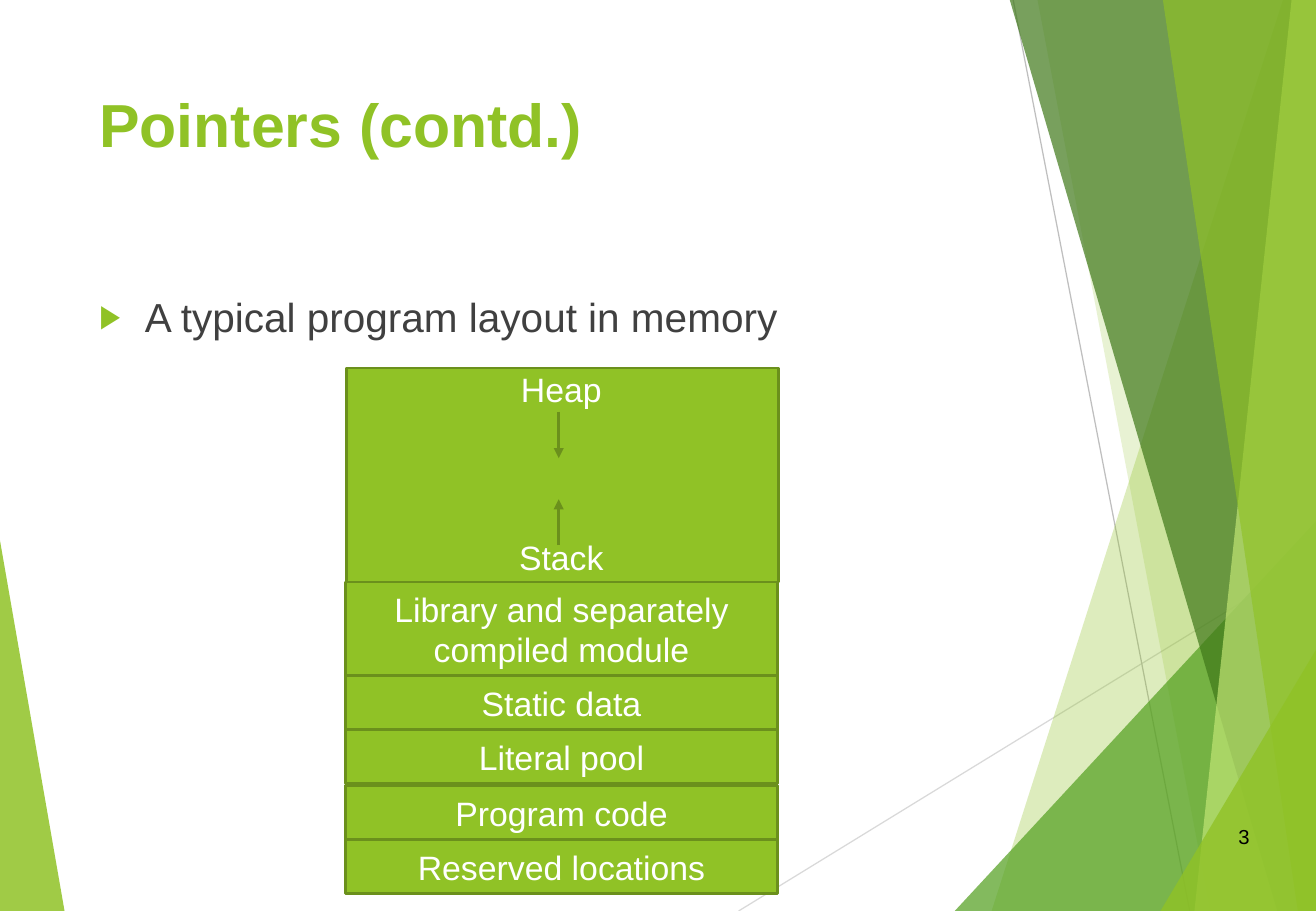
"""Build a slide on the layout of a program in memory."""
from typing import NamedTuple

from lxml.etree import SubElement as Sub
from pptx import Presentation
from pptx.dml.color import RGBColor
from pptx.enum.shapes import MSO_CONNECTOR as Link, MSO_SHAPE as Form
from pptx.enum.text import MSO_ANCHOR as Anchor, PP_ALIGN as Align
from pptx.oxml.ns import qn
from pptx.shapes.autoshape import Shape
from pptx.shapes.connector import Connector
from pptx.shapes.shapetree import SlideShapes as Shapes
from pptx.util import Cm, Pt

LIME = RGBColor(0x90, 0xC2, 0x26)
LEAF = RGBColor(0x54, 0xA0, 0x21)
PINE = RGBColor(0x3F, 0x78, 0x19)
PALE = RGBColor(0xC0, 0xE4, 0x74)
MOSS = RGBColor(0x6B, 0x90, 0x1C)
ASH = RGBColor(0xD9, 0xD9, 0xD9)
GREY = RGBColor(0xBF, 0xBF, 0xBF)
DARK = RGBColor(0x40, 0x40, 0x40)
BLACK = RGBColor(0, 0, 0)
WHITE = RGBColor(255, 255, 255)

WIDE, HIGH = 27.51, 19.05


class Facet(NamedTuple):
    """A clear pane of the backdrop."""
    color: RGBColor
    alpha: int
    points: list[tuple[float, float]]


class Stroke(NamedTuple):
    """A straight line, with or without an arrowhead."""
    start: tuple[float, float]
    end: tuple[float, float]
    color: RGBColor
    width: float
    arrow: bool = False


class Block(NamedTuple):
    """A box of the memory stack."""
    text: str
    left: float
    top: float
    height: float


class Label(NamedTuple):
    """A plain text box."""
    text: str
    left: float
    top: float
    width: float
    height: float
    size: int
    color: RGBColor
    align: Align = Align.LEFT
    anchor: Anchor = Anchor.TOP
    bold: bool = False
    before: int = 0


def pane(top: float, base: float) -> list[tuple[float, float]]:
    """Return the outline from a slanted edge to the right side."""
    return [(top, 0), (base, HIGH), (WIDE, HIGH), (WIDE, 0)]


def wedge(base: float, peak: float) -> list[tuple[float, float]]:
    """Return the triangle in the lower right corner."""
    return [(base, HIGH), (WIDE, peak), (WIDE, HIGH)]


FACETS = [
    Facet(LIME, 85, [(0, 11.3), (1.35, HIGH), (0, HIGH)]),
    Facet(LIME, 30, pane(26.82, 20.73)),
    Facet(LIME, 20, pane(21.69, 25.3)),
    Facet(LEAF, 72, wedge(19.96, 10.9)),
    Facet(PINE, 70, pane(21.11, 26.7)),
    Facet(PALE, 70, pane(27, 24.97)),
    Facet(LIME, 65, pane(24.31, 27.13)),
    Facet(LIME, 80, wedge(24.26, 13.59)),
]
RAYS = [
    Stroke((15.44, HIGH), (WIDE, 11.64), ASH, 0.75),
    Stroke((21.18, 0), (24.87, HIGH), GREY, 0.75),
]
BLOCKS = [
    Block("Reserved locations", 7.22, 17.56, 1.13),
    Block("Program code", 7.22, 16.43, 1.13),
    Block("Literal pool", 7.22, 15.26, 1.13),
    Block("Static data", 7.22, 14.13, 1.13),
    Block("Library and separately compiled module", 7.22, 12.17, 1.96),
    Block("", 7.24, 7.7, 4.47),
]
TITLE = Label("Pointers (contd.)", 1.83, 1.7, 19.1, 3.66, 36, LIME, bold=True)
POINT = Label("A typical program layout in memory", 1.83, 5.99, 19.1, 1.35,
              24, DARK, before=10)
NUMBER = Label("3", 24.82, 16.99, 1.55, 1.02, 12, BLACK, Align.RIGHT, Anchor.MIDDLE)
ENDS = [
    Label("Heap", 10.16, 7.59, 3.15, 1.09, 20, WHITE, Align.CENTER),
    Label("Stack", 10.16, 11.1, 3.15, 1.09, 20, WHITE, Align.CENTER),
]
ARROWS = [
    Stroke((11.68, 8.61), (11.68, 9.58), MOSS, 1.5, True),
    Stroke((11.68, 11.4), (11.68, 10.44), MOSS, 1.5, True),
]


def write(shape: Shape, text: str, size: int, color: RGBColor,
          align: Align, anchor: Anchor) -> None:
    """Put one styled paragraph into a shape."""
    frame = shape.text_frame
    frame.word_wrap = True
    frame.vertical_anchor = anchor
    line = frame.paragraphs[0]
    line.text = text
    line.alignment = align
    line.font.name = "Arial"
    line.font.size = Pt(size)
    line.font.color.rgb = color


def draw_facet(shapes: Shapes, facet: Facet) -> None:
    """Draw one clear pane."""
    first, *rest = [(Cm(x), Cm(y)) for x, y in facet.points]
    maker = shapes.build_freeform(*first)
    maker.add_line_segments(rest, close=True)
    shape = maker.convert_to_shape()
    shape.shadow.inherit = False
    shape.line.fill.background()
    shape.fill.solid()
    shape.fill.fore_color.rgb = facet.color
    tint = next(shape.element.iter(qn("a:srgbClr")))
    Sub(tint, qn("a:alpha"), val=str(facet.alpha * 1000))


def draw_stroke(shapes: Shapes, stroke: Stroke) -> Connector:
    """Draw one line."""
    ends = [Cm(n) for n in (*stroke.start, *stroke.end)]
    link = shapes.add_connector(Link.STRAIGHT, *ends)
    link.line.color.rgb = stroke.color
    link.line.width = Pt(stroke.width)
    if stroke.arrow:
        Sub(link.line._get_or_add_ln(), qn("a:tailEnd"), type="triangle")
    Sub(link.element.spPr, qn("a:effectLst"))
    return link


def draw_block(shapes: Shapes, block: Block) -> None:
    """Draw one box of the stack."""
    shape = shapes.add_shape(Form.RECTANGLE, Cm(block.left), Cm(block.top),
                             Cm(9.04), Cm(block.height))
    shape.shadow.inherit = False
    shape.fill.solid()
    shape.fill.fore_color.rgb = LIME
    shape.line.color.rgb = MOSS
    shape.line.width = Pt(1.5)
    if block.text:
        write(shape, block.text, 20, WHITE, Align.CENTER, Anchor.MIDDLE)


def draw_label(shapes: Shapes, label: Label) -> Shape:
    """Draw one text box."""
    box = shapes.add_textbox(Cm(label.left), Cm(label.top),
                             Cm(label.width), Cm(label.height))
    write(box, label.text, label.size, label.color, label.align, label.anchor)
    line = box.text_frame.paragraphs[0]
    line.font.bold = label.bold
    line.space_before = Pt(label.before)
    return box


def add_bullet(box: Shape) -> None:
    """Give the first paragraph a lime arrow bullet."""
    props = box.text_frame.paragraphs[0]._p.get_or_add_pPr()
    props.set("marL", str(Cm(0.95)))
    props.set("indent", str(-Cm(0.95)))
    tint = Sub(props, qn("a:buClr"))
    Sub(tint, qn("a:srgbClr"), val=str(LIME))
    Sub(props, qn("a:buSzPct"), val="80000")
    Sub(props, qn("a:buFont"), typeface="Arial")
    Sub(props, qn("a:buChar"), char="▶")
    props.append(props.find(qn("a:defRPr")))


def main() -> None:
    """Build and save the slide."""
    deck = Presentation()
    deck.slide_width, deck.slide_height = Cm(WIDE), Cm(HIGH)
    shapes = deck.slides.add_slide(deck.slide_layouts[6]).shapes
    draw_facet(shapes, FACETS[0])
    for ray in RAYS:
        draw_stroke(shapes, ray)
    for facet in FACETS[1:]:
        draw_facet(shapes, facet)
    draw_label(shapes, TITLE)
    add_bullet(draw_label(shapes, POINT))
    draw_label(shapes, NUMBER)
    for block in BLOCKS:
        draw_block(shapes, block)
    for label in ENDS:
        draw_label(shapes, label)
    for arrow in ARROWS:
        draw_stroke(shapes, arrow)
    deck.save("out.pptx")


if __name__ == "__main__":
    main()
